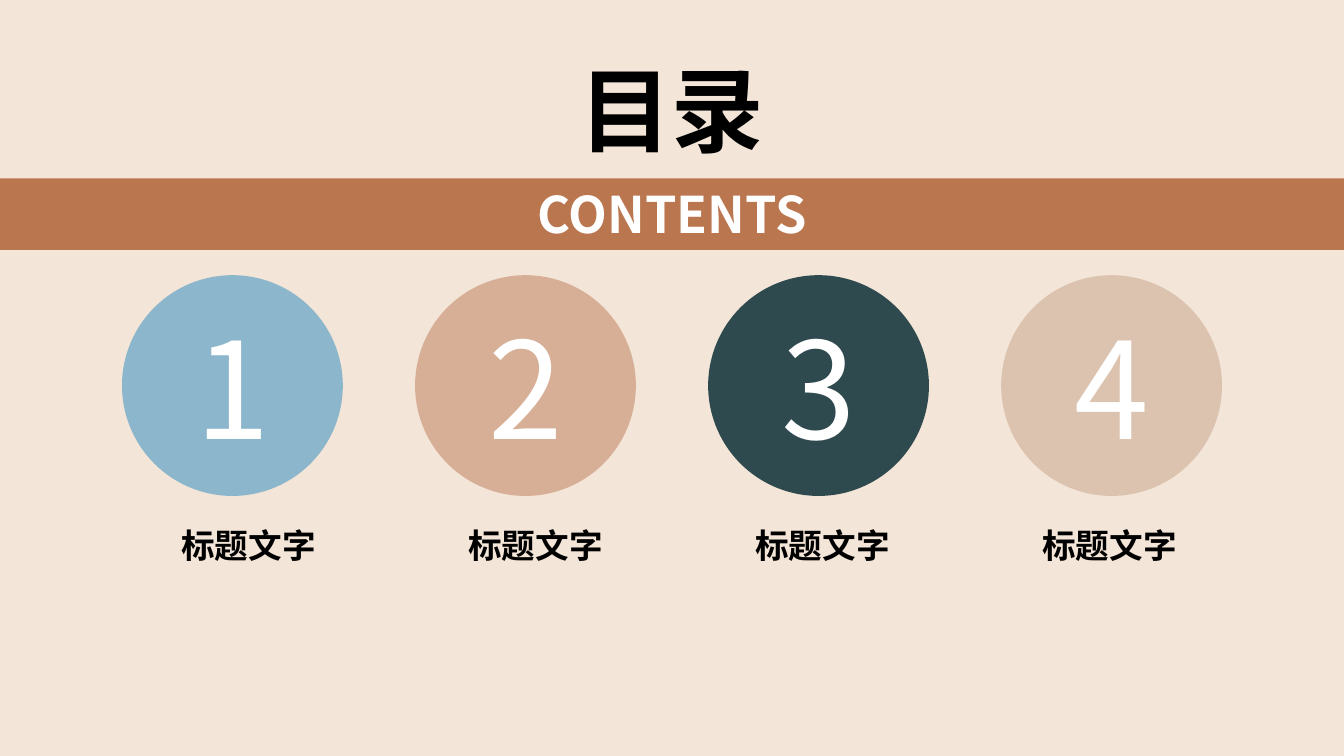
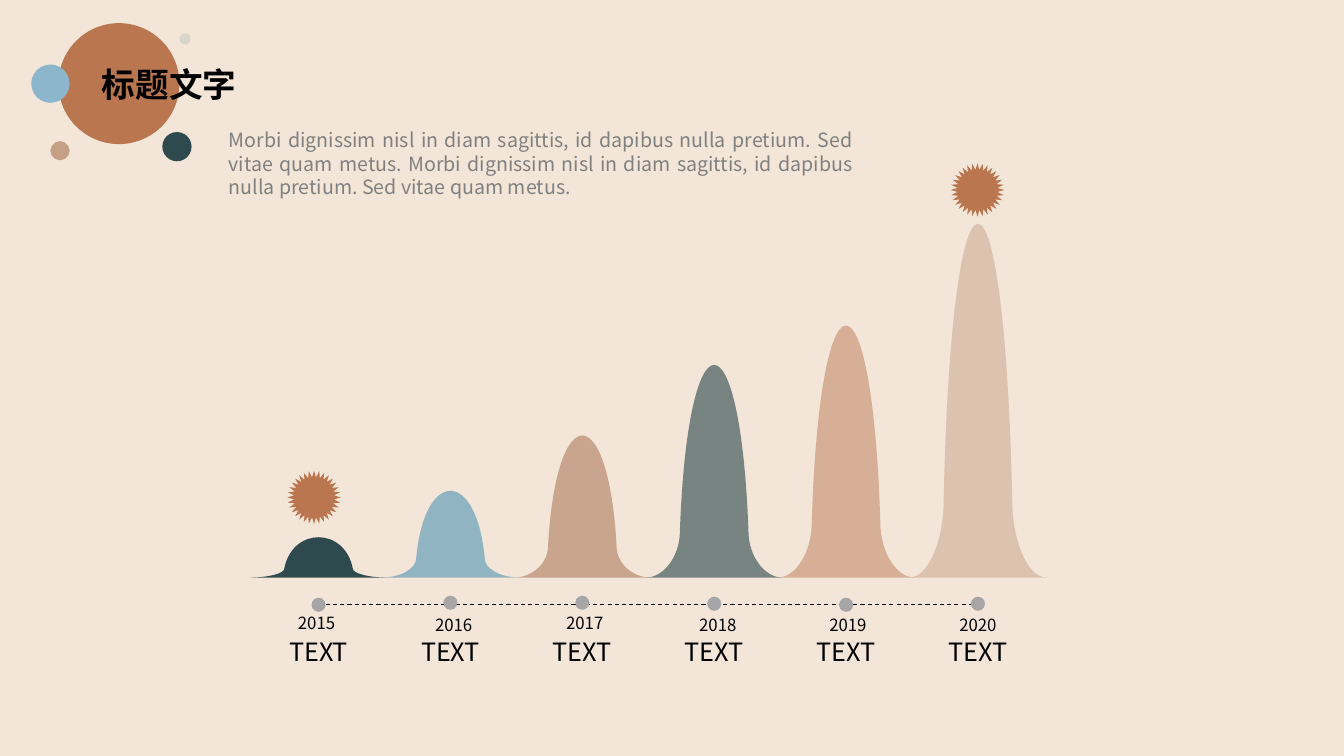
from lxml import etree
from pptx import Presentation
from pptx.dml.color import RGBColor
from pptx.enum.dml import MSO_LINE
from pptx.enum.shapes import MSO_CONNECTOR, MSO_SHAPE
from pptx.enum.text import MSO_ANCHOR as ANCHOR, MSO_AUTO_SIZE as AUTO, PP_ALIGN as ALIGN
from pptx.oxml.ns import qn
from pptx.util import Inches, Pt

FONT = "Noto Sans CJK SC"
CREAM, RUST, BLUE, TEAL, TAN = "F3E5D8", "BA764F", "8BB6CB", "2E4A4E", "C5A086"
BLACK, WHITE, GRAY, DOT_GRAY = "000000", "FFFFFF", "808080", "A6A6A6"
HEADING = "标题文字"
BODY = (
    "Morbi dignissim nisl in diam sagittis, id dapibus nulla pretium. "
    "Sed vitae quam metus. Morbi dignissim nisl in diam sagittis, id dapibus "
    "nulla pretium. Sed vitae quam metus."
)
BASELINE = 5.73
HALF_PEAK = [
    (0, 0), (0.15, 0), (0.3, 0.26), (0.34, 0.78),
    (0.34, 0.9), (0.5, 1), (0.68, 1),
]


def rgb(color):
    return RGBColor.from_string(color)


def spread(first, last, count):
    return [first + (last - first) * i / (count - 1) for i in range(count)]


def set_fill(fill, color):
    fill.solid()
    fill.fore_color.rgb = rgb(color)


def paint(sp, color, opacity=100):
    set_fill(sp.fill, color)
    sp.line.fill.background()
    sp.shadow.inherit = False
    if opacity < 100:
        clr = sp.element.spPr.find(qn("a:solidFill")).find(qn("a:srgbClr"))
        etree.SubElement(clr, qn("a:alpha"), val=str(opacity * 1000))
    return sp


def write(sp, text, size, color=BLACK, bold=False, align=ALIGN.CENTER,
          wrap=True, anchor=ANCHOR.TOP, fit=AUTO.SHAPE_TO_FIT_TEXT):
    tf = sp.text_frame
    tf.word_wrap = wrap
    tf.auto_size = fit
    tf.vertical_anchor = anchor
    p = tf.paragraphs[0]
    p.alignment = align
    p.font.size = Pt(size)
    p.font.bold = bold
    p.font.name = FONT
    p.font.color.rgb = rgb(color)
    p.add_run().text = text
    for props in sp.element.iter(qn("a:defRPr")):
        etree.SubElement(props, qn("a:ea"), typeface=FONT)


def add_preset(shapes, kind, box, color, opacity=100):
    return paint(shapes.add_shape(kind, *map(Inches, box)), color, opacity)


def add_text(slide, box, text, size, **style):
    write(slide.shapes.add_textbox(*map(Inches, box)), text, size, **style)


def place_title(slide, box, text, size, **style):
    title = slide.shapes.title
    title.left, title.top, title.width, title.height = map(Inches, box)
    write(title, text, size, bold=True, **style)
    title.element.getparent().append(title.element)


def curve_segments(sp):
    segments = list(sp.element.iter(qn("a:lnTo")))
    for i in range(0, len(segments), 3):
        curve = etree.Element(qn("a:cubicBezTo"))
        segments[i].addprevious(curve)
        for segment in segments[i:i + 3]:
            curve.append(segment[0])
            segment.getparent().remove(segment)


def add_peak(slide, center, top, color, opacity):
    left_half = [(-x, y) for x, y in reversed(HALF_PEAK)]
    outline = left_half + HALF_PEAK[1:]
    points = [(Inches(center + x), Inches(top + y * (BASELINE - top)))
              for x, y in outline]
    builder = slide.shapes.build_freeform(*points[0])
    builder.add_line_segments(points[1:], close=True)
    peak = paint(builder.convert_to_shape(), color, opacity)
    curve_segments(peak)


def add_dashed_line(slide, x1, x2, y):
    line = slide.shapes.add_connector(
        MSO_CONNECTOR.STRAIGHT, Inches(x1), Inches(y), Inches(x2), Inches(y))
    line.line.color.rgb = rgb(BLACK)
    line.line.width = Pt(0.75)
    line.line.dash_style = MSO_LINE.DASH
    etree.SubElement(line.element.spPr, qn("a:effectLst"))


def build_contents(slide):
    circles = [(BLUE, 100), (RUST, 48), (TEAL, 100), (TAN, 48)]
    lefts = spread(1.21, 9.93, len(circles))
    for i, (left, (color, opacity)) in enumerate(zip(lefts, circles), 1):
        circle = add_preset(slide.shapes, MSO_SHAPE.OVAL,
                            (left, 2.73, 2.19, 2.19), color, opacity)
        write(circle, str(i), 96, WHITE, anchor=ANCHOR.MIDDLE, fit=AUTO.NONE)
    place_title(slide, (5.21, 0.48, 2.91, 1.21), "目录", 66)
    band = add_preset(slide.shapes, MSO_SHAPE.RECTANGLE, (0, 1.77, 13.33, 0.71), RUST)
    write(band, "CONTENTS", 36, WHITE, bold=True)
    for left in spread(1.7, 10.24, len(circles)):
        add_text(slide, (left, 5.16, 1.55, 0.5), HEADING, 24,
                 bold=True, align=ALIGN.LEFT, wrap=False)


def add_title_bubbles(slide):
    group = slide.shapes.add_group_shape()
    bubbles = [
        (0.58, 0.23, 1.2, RUST), (0.31, 0.64, 0.38, BLUE), (0.5, 1.4, 0.19, TAN),
        (1.61, 1.31, 0.29, TEAL), (1.78, 0.33, 0.11, "D9D5CA"),
    ]
    for x, y, size, color in bubbles:
        add_preset(group.shapes, MSO_SHAPE.OVAL, (x, y, size, size), color)


def build_timeline(slide):
    add_text(slide, (2.17, 1.22, 6.39, 0.81), BODY, 14, color=GRAY, align=ALIGN.JUSTIFY)
    add_dashed_line(slide, 3.16, 9.7, 6)
    peaks = [
        (5.33, TEAL, 100, 5.93, 2.82, 6.03), (4.87, "91B4C3", 100, 5.91, 4.18, 6.05),
        (4.32, TAN, 92, 5.91, 5.48, 6.03), (3.62, TEAL, 62, 5.92, 6.8, 6.05),
        (3.23, RUST, 48, 5.93, 8.09, 6.05), (2.22, TAN, 48, 5.92, 9.38, 6.05),
    ]
    centers = spread(3.16, 9.7, len(peaks))
    for year, (center, peak) in enumerate(zip(centers, peaks), 2015):
        top, color, opacity, dot_top, year_left, year_top = peak
        add_preset(slide.shapes, MSO_SHAPE.OVAL,
                   (center - 0.07, dot_top, 0.14, 0.14), DOT_GRAY)
        add_text(slide, (year_left, year_top, 0.64, 0.3), str(year), 12)
        add_peak(slide, center, top, color, opacity)
        add_text(slide, (center - 0.75, 6.26, 1.5, 0.4), "TEXT", 18)
    for x, y in [(2.85, 4.67), (9.43, 1.62)]:
        add_preset(slide.shapes, MSO_SHAPE.STAR_32_POINT, (x, y, 0.53, 0.53), RUST)
    add_title_bubbles(slide)
    place_title(slide, (0.91, 0.58, 1.55, 0.5), HEADING, 24,
                align=ALIGN.LEFT, wrap=False)


def main():
    prs = Presentation()
    prs.slide_width, prs.slide_height = Inches(13.33), Inches(7.5)
    set_fill(prs.slide_master.background.fill, CREAM)
    for build in (build_contents, build_timeline):
        build(prs.slides.add_slide(prs.slide_layouts[5]))
    prs.save("out.pptx")


if __name__ == "__main__":
    main()
